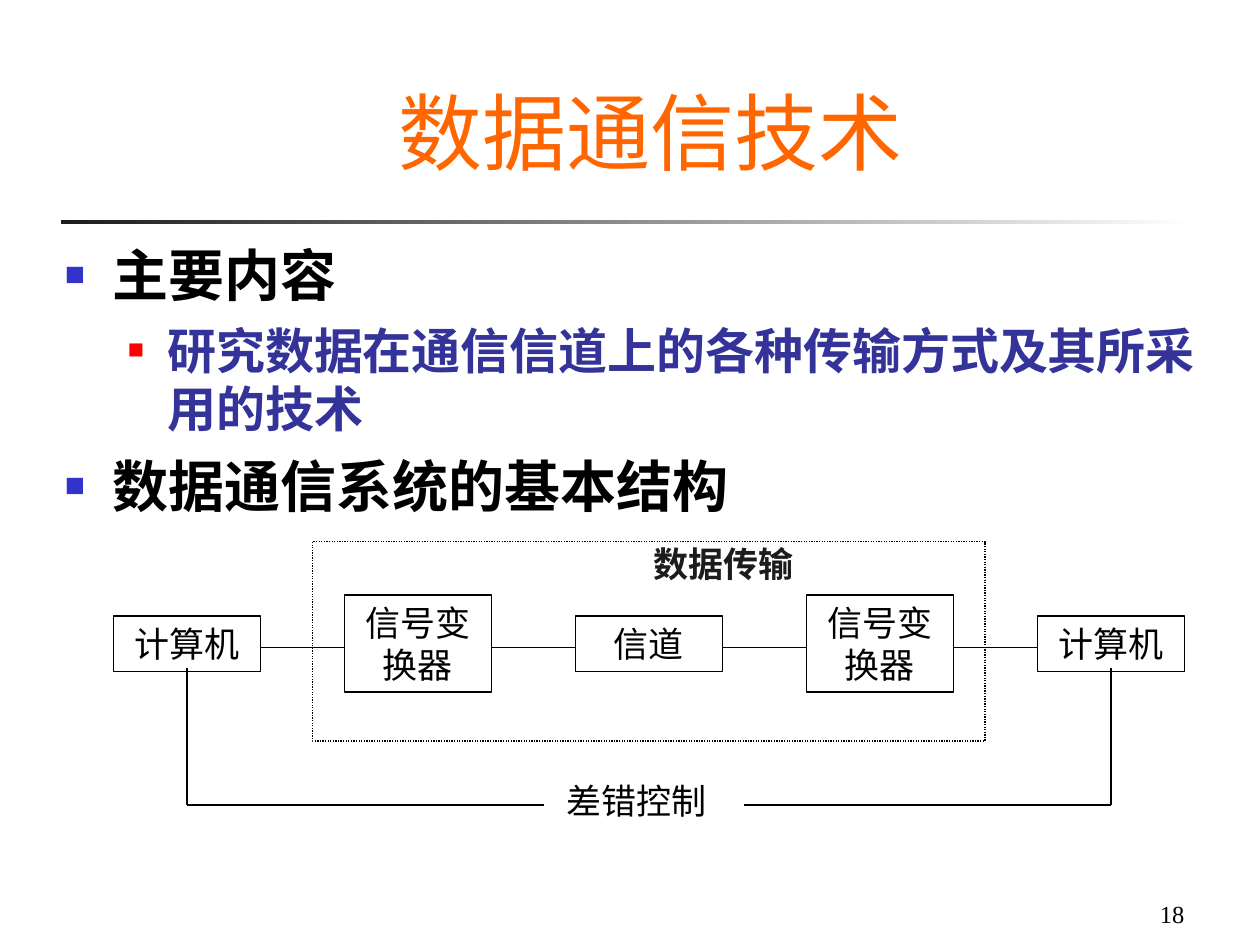
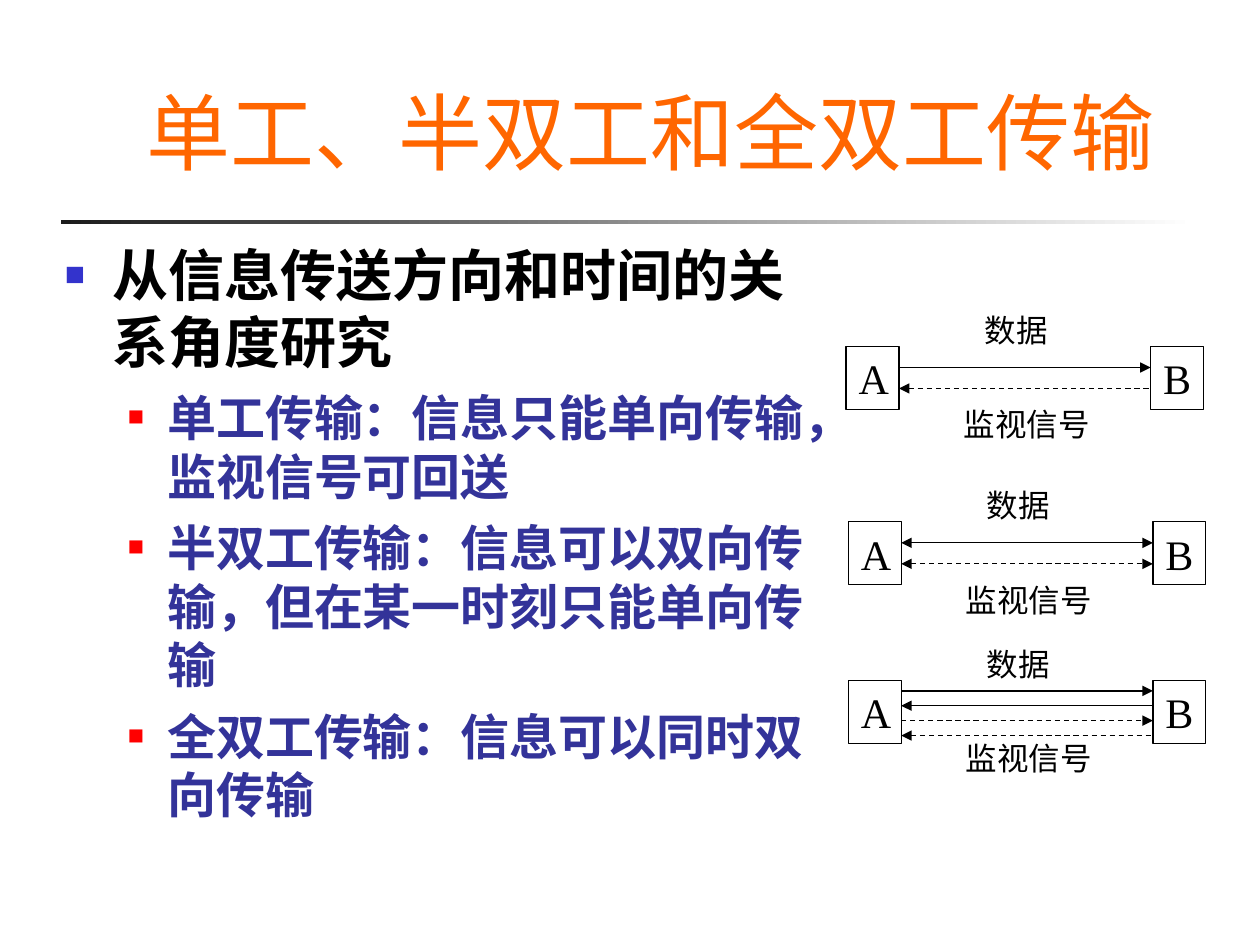
from dataclasses import dataclass

import lxml.etree
import pptx
import pptx.dml.color
import pptx.enum.dml
import pptx.enum.lang
import pptx.enum.shapes
import pptx.enum.text
import pptx.oxml.ns
import pptx.util

Pt = pptx.util.Pt
qn = pptx.oxml.ns.qn
Align = pptx.enum.text.PP_ALIGN
Anchor = pptx.enum.text.MSO_ANCHOR
Dash = pptx.enum.dml.MSO_LINE
RECTANGLE = pptx.enum.shapes.MSO_SHAPE.RECTANGLE


@dataclass(frozen=True)
class Theme:
    sans: str = "Cabin"
    serif: str = "Times New Roman"
    orange: str = "FF6600"
    black: str = "000000"
    charcoal: str = "1C1C1C"
    white: str = "FFFFFF"
    navy: str = "333399"
    topic_bullet: str = "3333CC"
    detail_bullet: str = "FF0000"
    title_size: float = 48
    topic_size: float = 32
    detail_size: float = 28
    station_size: float = 24
    node_size: float = 20
    signal_size: float = 18
    number_size: float = 14
    line_width: float = 0.75


@dataclass(frozen=True)
class Level:
    size: float
    color: str
    bullet_color: str
    bullet_percent: int
    margin: float
    hanging: float
    space_before: float


THEME = Theme()
TOPIC = Level(THEME.topic_size, THEME.black, THEME.topic_bullet, 60, 27, 27, 8)
DETAIL = Level(THEME.detail_size, THEME.navy, THEME.detail_bullet, 55, 58.5, 22.5, 7)


def rgb(color):
    return pptx.dml.color.RGBColor.from_string(color)


def format_runs(para, size, font, color, bold=False):
    for span in para.runs:
        span.font.size = Pt(size)
        span.font.bold = bold
        span.font.color.rgb = rgb(color)
        span.font.name = font
        span.font.language_id = pptx.enum.lang.MSO_LANGUAGE_ID.SIMPLIFIED_CHINESE
        east_asian = lxml.etree.SubElement(span.font._element, qn("a:ea"))
        east_asian.set("typeface", THEME.sans)


def fill_text(shape, text, size, font=THEME.serif, color=THEME.black,
              align=Align.LEFT, anchor=Anchor.TOP, bold=False):
    frame = shape.text_frame
    frame.word_wrap = True
    frame.auto_size = pptx.enum.text.MSO_AUTO_SIZE.NONE
    frame.vertical_anchor = anchor
    frame.text = text
    para = frame.paragraphs[0]
    para.alignment = align
    format_runs(para, size, font, color, bold)


def add_label(page, text, left, top, width, height, size, **style):
    box = page.shapes.add_textbox(Pt(left), Pt(top), Pt(width), Pt(height))
    fill_text(box, text, size, **style)


def add_outline(page, left, top, width, height, dash=None):
    box = page.shapes.add_shape(RECTANGLE, Pt(left), Pt(top), Pt(width), Pt(height))
    box.shadow.inherit = False
    box.fill.background()
    box.line.color.rgb = rgb(THEME.black)
    box.line.width = Pt(THEME.line_width)
    if dash:
        box.line.dash_style = dash
    return box


def add_line(page, start, end, dash=None, arrows=()):
    line = page.shapes.add_connector(
        pptx.enum.shapes.MSO_CONNECTOR.STRAIGHT, *map(Pt, start + end))
    line.line.color.rgb = rgb(THEME.black)
    line.line.width = Pt(THEME.line_width)
    if dash:
        line.line.dash_style = dash
    outline = line.line._get_or_add_ln()
    for arrow in arrows:
        lxml.etree.SubElement(outline, qn(f"a:{arrow}")).set("type", "triangle")
    lxml.etree.SubElement(line._element.spPr, qn("a:effectLst"))


def add_bullet(para, level):
    properties = para._p.get_or_add_pPr()
    properties.set("marL", str(Pt(level.margin)))
    properties.set("indent", str(-Pt(level.hanging)))
    color = lxml.etree.SubElement(properties, qn("a:buClr"))
    lxml.etree.SubElement(color, qn("a:srgbClr")).set("val", level.bullet_color)
    for tag, name, value in (("a:buSzPct", "val", str(level.bullet_percent * 1000)),
                             ("a:buFont", "typeface", THEME.serif),
                             ("a:buChar", "char", "■")):
        lxml.etree.SubElement(properties, qn(tag)).set(name, value)


def add_outline_text(page, width, entries):
    box = page.shapes.add_textbox(Pt(30), Pt(134), Pt(width), Pt(343.5))
    frame = box.text_frame
    frame.word_wrap = True
    for index, (level, text) in enumerate(entries):
        para = frame.add_paragraph() if index else frame.paragraphs[0]
        para.text = text
        para.level = int(level is DETAIL)
        add_bullet(para, level)
        if index:
            para.space_before = Pt(level.space_before)
        format_runs(para, level.size, THEME.sans, level.color, bold=True)


def add_page(deck, title):
    page = deck.slides.add_slide(deck.slide_layouts.get_by_name("Title Only"))
    heading = page.shapes.title
    heading.left, heading.top = Pt(66), Pt(36)
    heading.width, heading.height = Pt(612), Pt(71.5)
    fill_text(heading, title, THEME.title_size, THEME.sans, THEME.orange,
              Align.CENTER, Anchor.BOTTOM)
    rule = page.shapes.add_shape(RECTANGLE, Pt(34.8), Pt(125.8), Pt(648), Pt(2.5))
    rule.shadow.inherit = False
    rule.line.fill.background()
    rule.fill.gradient()
    rule.fill.gradient_angle = 0
    for stop, position, color in zip(rule.fill.gradient_stops, (0, 1),
                                     (THEME.charcoal, THEME.white)):
        stop.position = position
        stop.color.rgb = rgb(color)
    return page


def add_system_diagram(page):
    left, pitch, width, middle, wire_y = 64.8, 132, 84, 367.8, 370
    nodes = ("计算机", "信号变换器", "信道", "信号变换器", "计算机")
    for index, name in enumerate(nodes):
        height = 55.5 if len(name) > 3 else 31.6
        x = left + index * pitch
        node = add_outline(page, x, middle - height / 2, width, height)
        fill_text(node, name, THEME.node_size, align=Align.CENTER)
        if index:
            add_line(page, (x - pitch + width, wire_y), (x, wire_y))

    add_outline(page, 178.5, 309.6, 384.4, 113.8, Dash.ROUND_DOT)
    add_label(page, "数据传输", 366.3, 306.6, 108, 32, THEME.node_size,
              font=THEME.sans, color=THEME.charcoal, bold=True)

    feedback_y = 460
    first = left + width / 2
    last = first + pitch * (len(nodes) - 1)
    for x, label_edge in ((first, 311), (last, 425)):
        add_line(page, (x, 381.6), (x, feedback_y))
        add_line(page, (x, feedback_y), (label_edge, feedback_y))
    add_label(page, "差错控制", 316.8, 442, 108, 32, THEME.node_size)


def add_link_diagram(page, left, top, signals):
    width, height, span = 30.2, 36, 174
    for name, x in (("A", left), ("B", left + span)):
        station = add_outline(page, x, top, width, height)
        fill_text(station, name, THEME.station_size)
    for offset, dash, arrows in signals:
        y = top + offset
        add_line(page, (left + width, y), (left + span, y), dash, arrows)
    add_label(page, "数据", left + 72, top - 24, 60, 29, THEME.signal_size)
    add_label(page, "监视信号", left + 60, top + 30, 106, 29, THEME.signal_size)


def build_system_page(deck):
    page = add_page(deck, "数据通信技术")
    add_outline_text(page, 666, (
        (TOPIC, "主要内容"),
        (DETAIL, "研究数据在通信信道上的各种传输方式及其所采用的技术"),
        (TOPIC, "数据通信系统的基本结构"),
    ))
    add_system_diagram(page)
    add_label(page, "18", 534, 498, 150, 36, THEME.number_size,
              align=Align.RIGHT, anchor=Anchor.BOTTOM)


def build_modes_page(deck):
    page = add_page(deck, "单工、半双工和全双工传输")
    add_outline_text(page, 443.5, (
        (TOPIC, "从信息传送方向和时间的关系角度研究"),
        (DETAIL, "单工传输：信息只能单向传输，监视信号可回送"),
        (DETAIL, "半双工传输：信息可以双向传输，但在某一时刻只能单向传输"),
        (DETAIL, "全双工传输：信息可以同时双向传输"),
    ))
    forward, back = ("tailEnd",), ("headEnd",)
    both = back + forward
    simplex = ((12, None, forward), (24, Dash.DASH, back))
    half_duplex = ((12, None, both), (24, Dash.DASH, both))
    full_duplex = ((6, None, forward), (14.5, None, back),
                   (23, Dash.DASH, forward), (31.5, Dash.DASH, back))
    for left, top, signals in ((483.5, 198, simplex), (484.8, 298.2, half_duplex),
                               (484.8, 388.8, full_duplex)):
        add_link_diagram(page, left, top, signals)


def main():
    deck = pptx.Presentation()
    deck.slide_width, deck.slide_height = Pt(720), Pt(540)
    build_system_page(deck)
    build_modes_page(deck)
    deck.save("out.pptx")


if __name__ == "__main__":
    main()
